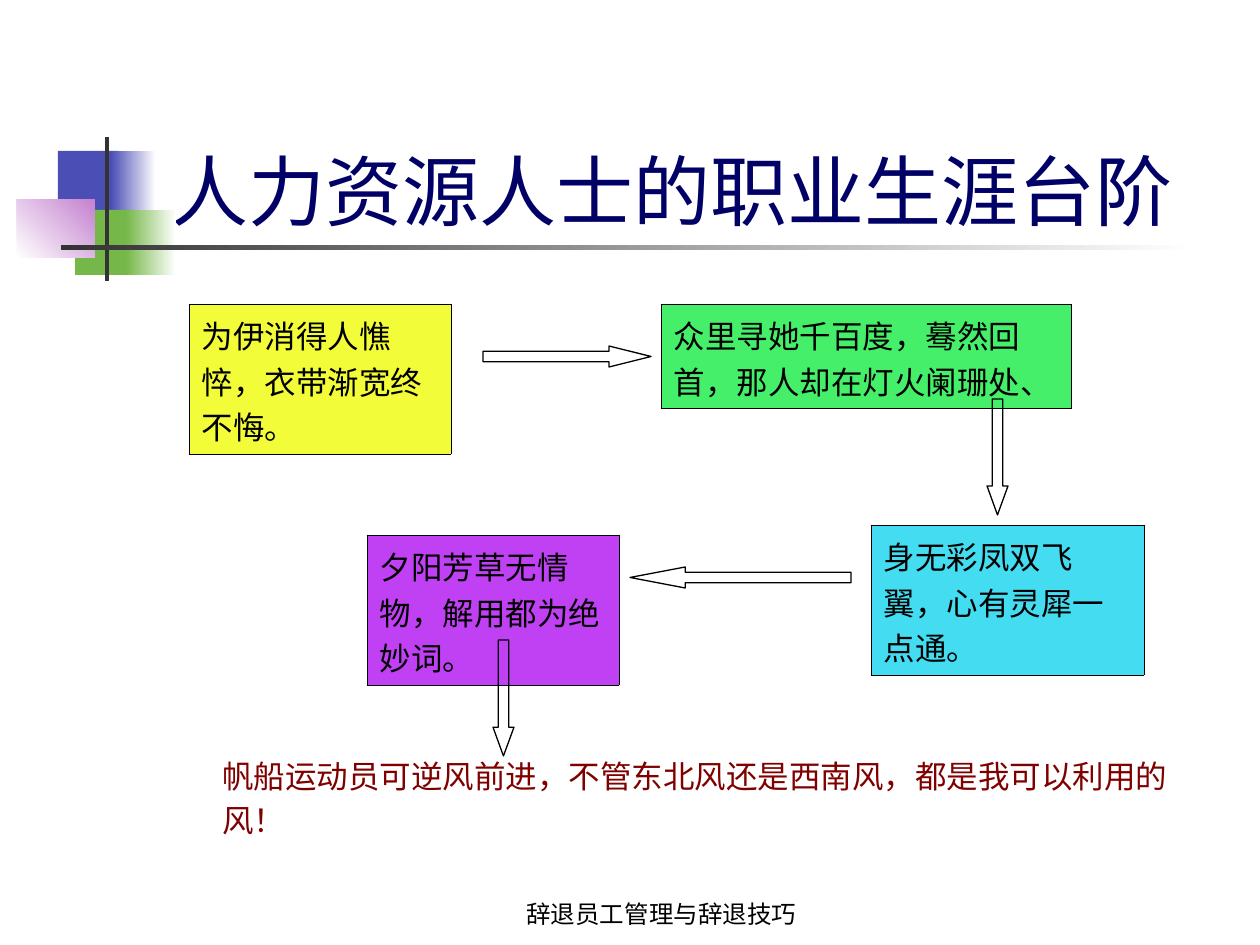
"""Build the slide on the career steps of human resources people."""
from typing import NamedTuple, Optional

from lxml.etree import SubElement
from pptx import Presentation
from pptx.dml.color import RGBColor
from pptx.enum.lang import MSO_LANGUAGE_ID as Language
from pptx.enum.shapes import MSO_SHAPE as Shape
from pptx.enum.text import MSO_ANCHOR as Anchor, MSO_AUTO_SIZE as AutoSize, PP_ALIGN as Align
from pptx.oxml.ns import qn
from pptx.util import Emu, Pt

EMU_PER_PX = 914400 / 126
FONT = "Roboto"
BLACK, WHITE, GREY = "000000", "FFFFFF", "333333"
BLUE, GREEN, PINK = "4B4EB5", "76B749", "C481CF"


class Box(NamedTuple):
    left: int
    top: int
    width: int
    height: int


class Block(NamedTuple):
    box: Box
    start: str
    end: Optional[str] = None
    angle: int = 0


class Verse(NamedTuple):
    box: Box
    color: str
    text: str


class Arrow(NamedTuple):
    box: Box
    kind: Shape
    head: float


BLOCKS = [
    Block(Box(58, 151, 60, 66), BLUE),
    Block(Box(111, 151, 45, 66), BLUE, WHITE),
    Block(Box(75, 210, 58, 65), GREEN),
    Block(Box(126, 210, 50, 65), GREEN, WHITE),
    Block(Box(17, 199, 78, 59), WHITE, PINK, 45),
    Block(Box(105, 137, 4, 144), GREY),
    Block(Box(61, 245, 1134, 5), GREY, WHITE),
]

VERSES = [
    Verse(Box(189, 304, 262, 88), "F3FC38", "为伊消得人憔悴，衣带渐宽终不悔。"),
    Verse(Box(661, 304, 410, 88), "45EF69", "众里寻她千百度，蓦然回首，那人却在灯火阑珊处、"),
    Verse(Box(871, 525, 273, 88), "43DCF1", "身无彩凤双飞翼，心有灵犀一点通。"),
    Verse(Box(367, 535, 252, 88), "C041F3", "夕阳芳草无情物，解用都为绝妙词。"),
]

ARROWS = [
    Arrow(Box(483, 346, 168, 21), Shape.RIGHT_ARROW, 2),
    Arrow(Box(987, 399, 21, 116), Shape.DOWN_ARROW, 1.38),
    Arrow(Box(630, 567, 221, 21), Shape.LEFT_ARROW, 2.63),
    Arrow(Box(493, 640, 21, 116), Shape.DOWN_ARROW, 1.37),
]


def px(length: int) -> Emu:
    """Turn pixels into EMU."""
    return Emu(round(length * EMU_PER_PX))


def place(box: Box) -> list[Emu]:
    """Give a box as EMU lengths."""
    return [px(length) for length in box]


def rgb(color: str) -> RGBColor:
    """Turn a hex string into a colour."""
    return RGBColor.from_string(color)


def write(frame, text: str, size: int, color: str, align=Align.LEFT):
    """Write one run into the first paragraph of a frame and return the paragraph."""
    paragraph = frame.paragraphs[0]
    paragraph.alignment = align
    paragraph.space_before = Pt(0)
    paragraph._p.get_or_add_pPr().set("hangingPunct", "0")
    run = paragraph.add_run()
    run.text = text
    run.font.name = FONT
    run.font.size = Pt(size)
    run.font.color.rgb = rgb(color)
    run.font.language_id = Language.SIMPLIFIED_CHINESE
    SubElement(run.font._element, qn("a:ea"), typeface=FONT)
    return paragraph


def anchor_bottom(frame) -> None:
    """Wrap the text of a frame and stand it on the bottom edge."""
    frame.word_wrap = True
    frame.auto_size = AutoSize.NONE
    frame.vertical_anchor = Anchor.BOTTOM


def add_block(slide, block: Block) -> None:
    """Draw a plain or fading rectangle."""
    shape = slide.shapes.add_shape(Shape.RECTANGLE, *place(block.box))
    shape.shadow.inherit = False
    shape.line.fill.background()
    if block.end is None:
        shape.fill.solid()
        shape.fill.fore_color.rgb = rgb(block.start)
        return
    shape.fill.gradient()
    shape.fill.gradient_angle = block.angle
    for stop, color in zip(shape.fill.gradient_stops, (block.start, block.end)):
        stop.color.rgb = rgb(color)


def add_text(slide, box: Box, text: str, size: int, color: str, align=Align.LEFT):
    """Add a text box and return its paragraph."""
    frame = slide.shapes.add_textbox(*place(box)).text_frame
    anchor_bottom(frame)
    return write(frame, text, size, color, align)


def add_verse(slide, verse: Verse) -> None:
    """Add a verse as a bordered table of one cell."""
    table = slide.shapes.add_table(1, 1, *place(verse.box)).table
    table.first_row = table.horz_banding = False
    cell = table.cell(0, 0)
    properties = cell._tc.get_or_add_tcPr()
    for side in ("lnL", "lnR", "lnT", "lnB"):
        line = SubElement(properties, qn(f"a:{side}"), w=str(Pt(0.45)))
        fill = SubElement(line, qn("a:solidFill"))
        SubElement(fill, qn("a:srgbClr"), val=BLACK)
    cell.fill.solid()
    cell.fill.fore_color.rgb = rgb(verse.color)
    write(cell.text_frame, verse.text, 18, BLACK).line_spacing = 1.24


def add_arrow(slide, arrow: Arrow) -> None:
    """Draw an outlined block arrow."""
    shape = slide.shapes.add_shape(arrow.kind, *place(arrow.box))
    shape.shadow.inherit = False
    shape.adjustments[0] = 0.5
    shape.adjustments[1] = arrow.head
    shape.fill.background()
    shape.line.color.rgb = rgb(BLACK)
    shape.line.width = Pt(0.75)


def main() -> None:
    """Build and save the presentation."""
    presentation = Presentation()
    presentation.slide_width, presentation.slide_height = px(1260), px(945)
    slide = presentation.slides.add_slide(presentation.slide_layouts[5])

    title = slide.shapes.title
    title.left, title.top, title.width, title.height = place(Box(159, 84, 1074, 158))
    anchor_bottom(title.text_frame)
    write(title.text_frame, "人力资源人士的职业生涯台阶", 44, "000066")

    for block in BLOCKS:
        add_block(slide, block)
    add_text(slide, Box(462, 872, 399, 63), "辞退员工管理与辞退技巧", 14, BLACK, Align.CENTER)
    closing = add_text(slide, Box(163, 278, 1071, 567),
                       "帆船运动员可逆风前进，不管东北风还是西南风，都是我可以利用的风！",
                       18, "800000")
    closing._p.get_or_add_pPr().set("marL", str(px(47)))
    closing.line_spacing = 1.17
    for verse in VERSES:
        add_verse(slide, verse)
    for arrow in ARROWS:
        add_arrow(slide, arrow)

    presentation.save("out.pptx")


if __name__ == "__main__":
    main()
